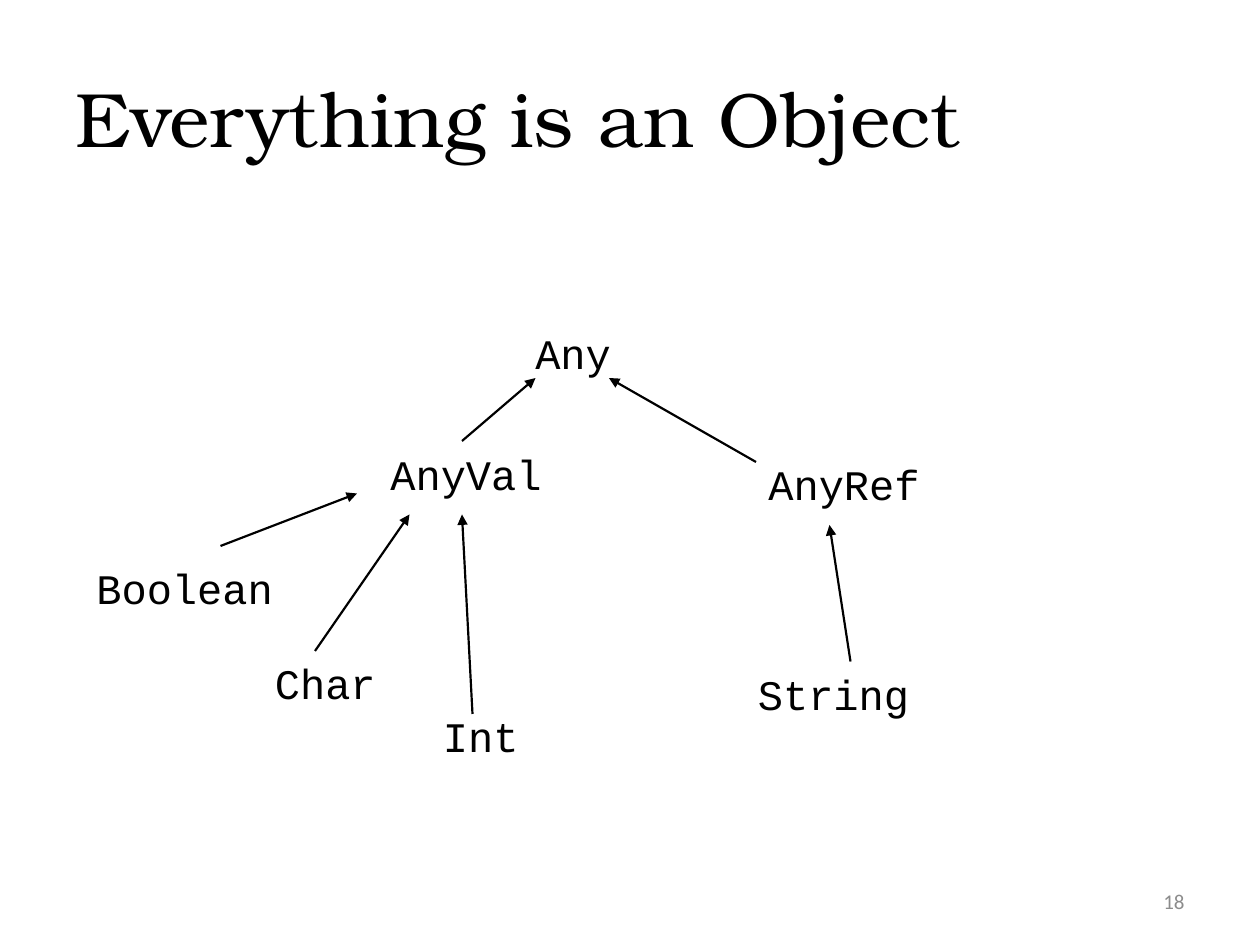
from dataclasses import dataclass

from lxml.etree import SubElement
from pptx import Presentation
from pptx.dml.color import RGBColor as Color
from pptx.enum.shapes import MSO_CONNECTOR as Connector
from pptx.enum.text import MSO_ANCHOR as Anchor
from pptx.enum.text import MSO_AUTO_SIZE as AutoSize
from pptx.enum.text import PP_ALIGN as Align
from pptx.oxml.ns import qn
from pptx.util import Inches, Pt


@dataclass(frozen=True)
class Theme:
    ink: Color = Color(0x00, 0x00, 0x00)
    muted: Color = Color(0x8C, 0x8C, 0x8C)
    title_font: str = "TeX Gyre Bonum"
    code_font: str = "Courier New"
    number_font: str = "Calibri"
    title_size: int = 44
    code_size: int = 24
    number_size: int = 12
    line_width: float = 1.25


THEME = Theme()
WIDTH, HEIGHT = Inches(10), Inches(7.5)
COLUMNS, ROWS = 120, 90
LETTER_COLUMNS = 2.4
LABEL_ROWS = 6

TYPES = {
    "Any": (49.8, 30.6),
    "AnyRef": (72, 43.1),
    "AnyVal": (36, 42.1),
    "String": (71, 63.1),
    "Boolean": (8, 53),
    "Char": (25, 62),
    "Int": (41, 67.1),
}
INHERITANCE = [
    ((45, 68), (44, 49)),
    ((30, 62), (39, 49)),
    ((21, 52), (34, 47)),
    ((81, 63), (79, 50)),
    ((72, 44), (58, 36)),
    ((44, 42), (51, 36)),
]


def grid(column, row):
    return round(WIDTH * column / COLUMNS), round(HEIGHT * row / ROWS)


def apply(target, formats):
    for name, value in formats.items():
        setattr(target, name, value)


def write(box, text, font, size, color, align=Align.LEFT, **frame_formats):
    frame = box.text_frame
    apply(frame, frame_formats)
    para = frame.paragraphs[0]
    para.alignment = align
    span = para.add_run()
    span.text = text
    apply(span.font, {"name": font, "size": Pt(size)})
    span.font.color.rgb = color


def add_title(page, text):
    box = page.shapes.title
    left, top = grid(6, 3.6)
    width, height = grid(108, 15)
    apply(box, {"left": left, "top": top, "width": width, "height": height})
    write(box, text, THEME.title_font, THEME.title_size, THEME.ink,
          vertical_anchor=Anchor.MIDDLE, auto_size=AutoSize.NONE)


def add_number(page, text):
    box = page.shapes.add_textbox(*grid(86, 83.4), *grid(28, 4.8))
    write(box, text, THEME.number_font, THEME.number_size, THEME.muted,
          Align.RIGHT, vertical_anchor=Anchor.MIDDLE, word_wrap=True)


def add_type(page, name, place):
    columns = LETTER_COLUMNS * (len(name) + 1)
    box = page.shapes.add_textbox(*grid(*place), *grid(columns, LABEL_ROWS))
    write(box, name, THEME.code_font, THEME.code_size, THEME.ink,
          word_wrap=False, auto_size=AutoSize.SHAPE_TO_FIT_TEXT)


def add_arrow(page, child, parent):
    arrow = page.shapes.add_connector(
        Connector.STRAIGHT, *grid(*child), *grid(*parent))
    arrow.line.width = Pt(THEME.line_width)
    arrow.line.color.rgb = THEME.ink
    SubElement(arrow.line._get_or_add_ln(), qn("a:tailEnd"), type="triangle")
    SubElement(arrow._element.spPr, qn("a:effectLst"))


def main():
    deck = Presentation()
    apply(deck, {"slide_width": WIDTH, "slide_height": HEIGHT})
    page = deck.slides.add_slide(deck.slide_layouts.get_by_name("Title Only"))
    add_title(page, "Everything is an Object")
    add_number(page, "18")
    for name, place in TYPES.items():
        add_type(page, name, place)
    for child, parent in INHERITANCE:
        add_arrow(page, child, parent)
    deck.save("out.pptx")


if __name__ == "__main__":
    main()
